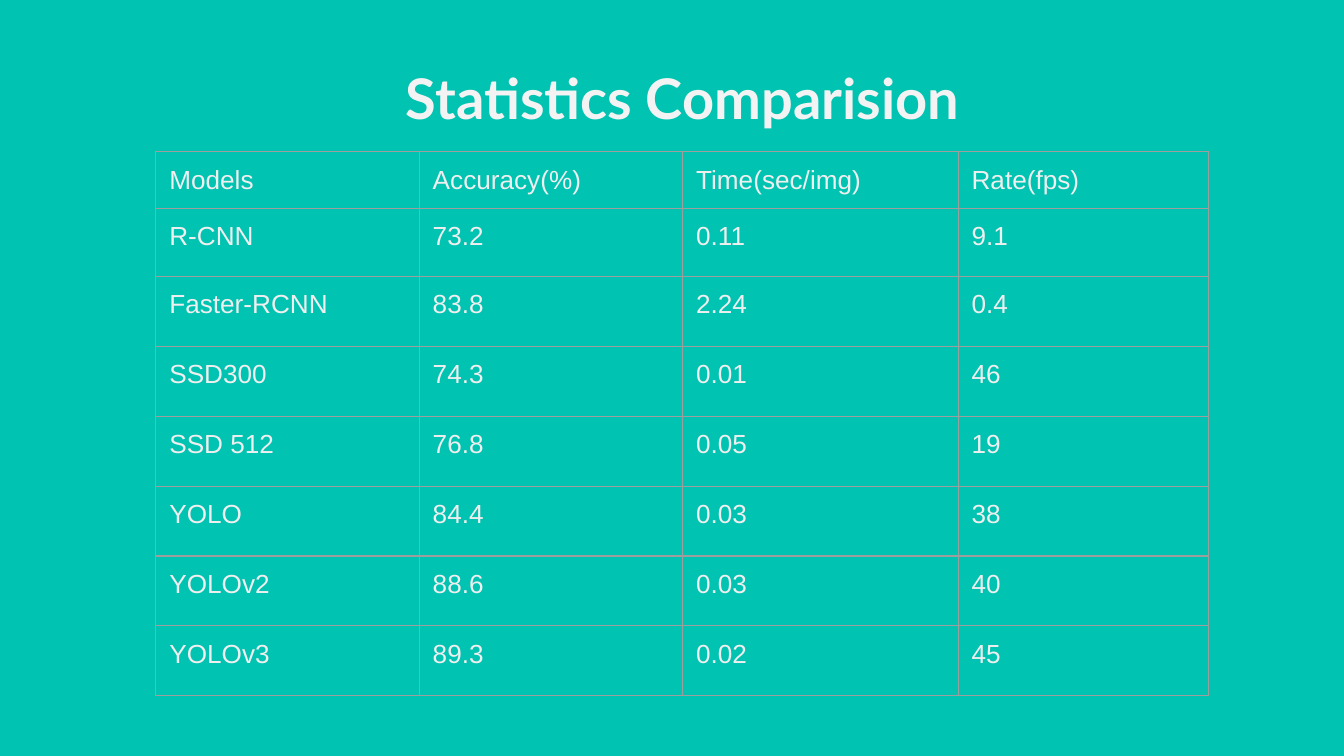
from lxml import etree
from pptx import Presentation
from pptx.dml.color import RGBColor
from pptx.enum.text import MSO_ANCHOR, PP_ALIGN
from pptx.oxml.ns import qn
from pptx.util import Inches, Pt

TOP = MSO_ANCHOR.TOP
CENTER = PP_ALIGN.CENTER
TEAL = RGBColor(0x00, 0xC3, 0xB1)
WHITE = RGBColor(0xF3, 0xF3, 0xF3)
PALE = RGBColor(0xEF, 0xEF, 0xEF)
GREY = RGBColor(0x9E, 0x9E, 0x9E)

TITLE = "Statistics Comparision"
ROWS = [
    ("Models", "Accuracy(%)", "Time(sec/img)", "Rate(fps)"),
    ("R-CNN", "73.2", "0.11", "9.1"),
    ("Faster-RCNN", "83.8", "2.24", "0.4"),
    ("SSD300", "74.3", "0.01", "46"),
    ("SSD 512", "76.8", "0.05", "19"),
    ("YOLO", "84.4", "0.03", "38"),
    ("YOLOv2", "88.6", "0.03", "40"),
    ("YOLOv3", "89.3", "0.02", "45"),
]
WIDTHS = [1.96, 1.96, 2.05, 1.86]
HEIGHTS = [0.31, 0.51] + [0.52] * (len(ROWS) - 2)
PAD = Inches(0.1)


def set_pad(box):
    box.margin_left = box.margin_right = PAD
    box.margin_top = box.margin_bottom = PAD
    box.vertical_anchor = TOP


def set_font(font, name, size, color, bold=False):
    font.name = name
    font.size = Pt(size)
    font.color.rgb = color
    font.bold = bold


def add_edges(cell):
    props = cell._tc.get_or_add_tcPr()
    for spot, side in enumerate(("lnL", "lnR", "lnT", "lnB")):
        line = etree.Element(qn("a:" + side), w=str(Pt(0.75)))
        fill = etree.SubElement(line, qn("a:solidFill"))
        etree.SubElement(fill, qn("a:srgbClr"), val=str(GREY))
        props.insert(spot, line)


def add_grid(slide):
    frame = slide.shapes.add_table(
        len(ROWS), len(WIDTHS), Inches(1.16), Inches(1.13),
        Inches(sum(WIDTHS)), Inches(sum(HEIGHTS)))
    table = frame.table
    table.first_row = False
    table.horz_banding = False
    for col, width in zip(table.columns, WIDTHS):
        col.width = Inches(width)
    for row, height, texts in zip(table.rows, HEIGHTS, ROWS):
        row.height = Inches(height)
        for cell, text in zip(row.cells, texts):
            cell.text_frame.text = text
            set_pad(cell)
            cell.fill.background()
            add_edges(cell)
            set_font(cell.text_frame.paragraphs[0].runs[0].font, "Arial", 14, PALE)


def add_title(slide):
    box = slide.shapes.add_textbox(
        Inches(0.83), Inches(0.37), Inches(8.5), Inches(0.76))
    frame = box.text_frame
    frame.word_wrap = True
    set_pad(frame)
    frame.text = TITLE
    para = frame.paragraphs[0]
    para.alignment = CENTER
    set_font(para.runs[0].font, "Lato", 30, WHITE, True)


def main():
    deck = Presentation()
    deck.slide_width = Inches(10)
    deck.slide_height = deck.slide_width * 9 // 16
    slide = deck.slides.add_slide(deck.slide_layouts[6])
    back = slide.background.fill
    back.solid()
    back.fore_color.rgb = TEAL
    add_grid(slide)
    add_title(slide)
    deck.save("out.pptx")


if __name__ == "__main__":
    main()
